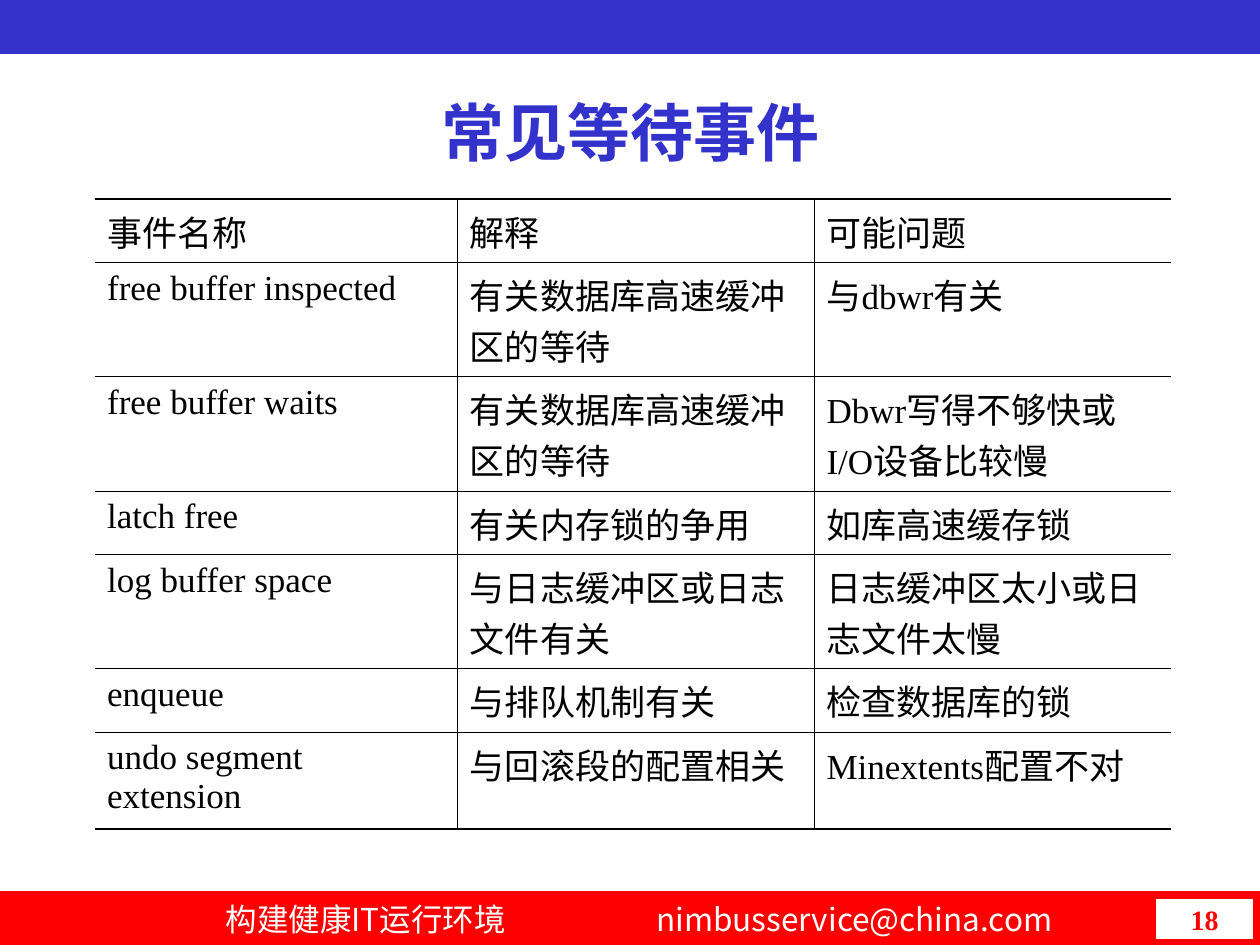
from lxml.etree import SubElement
from pptx import Presentation
from pptx.dml.color import RGBColor
from pptx.enum.shapes import MSO_SHAPE
from pptx.enum.text import MSO_ANCHOR, PP_ALIGN
from pptx.oxml.ns import qn
from pptx.util import Inches, Pt

BLUE = RGBColor(0x33, 0x33, 0xCC)
RED = RGBColor(0xFF, 0x00, 0x00)
WHITE = RGBColor(0xFF, 0xFF, 0xFF)
BLACK = RGBColor(0x00, 0x00, 0x00)
SERIF = "Times New Roman"
SANS = "Noto Sans CJK SC"

WIDTH, HEIGHT, BAND = 10, 7.5, 0.42
COLS = [2.88, 2.83, 2.83]
ONE_LINE, TWO_LINES = 0.44, 0.77
THIN, THICK = 0.45, 1.08
ROWS = [
    (ONE_LINE, ["事件名称", "解释", "可能问题"]),
    (TWO_LINES, ["free buffer inspected", "有关数据库高速缓冲区的等待", "与dbwr有关"]),
    (TWO_LINES, ["free buffer waits", "有关数据库高速缓冲区的等待", "Dbwr写得不够快或I/O设备比较慢"]),
    (ONE_LINE, ["latch free", "有关内存锁的争用", "如库高速缓存锁"]),
    (TWO_LINES, ["log buffer space", "与日志缓冲区或日志文件有关", "日志缓冲区太小或日志文件太慢"]),
    (ONE_LINE, ["enqueue", "与排队机制有关", "检查数据库的锁"]),
    (TWO_LINES, ["undo segment extension", "与回滚段的配置相关", "Minextents配置不对"]),
]


def add_run(p, text, size, color, font=SERIF, bold=False):
    r = p.add_run()
    r.text = text
    r.font.size = Pt(size)
    r.font.bold = bold
    r.font.color.rgb = color
    r.font.name = font
    SubElement(r.font._element, qn("a:ea"), typeface=SANS)


def add_box(s, left, top, width, height, fill, line):
    sp = s.shapes.add_shape(MSO_SHAPE.RECTANGLE, Inches(left), Inches(top), Inches(width), Inches(height))
    sp.shadow.inherit = False
    sp.fill.solid()
    sp.fill.fore_color.rgb = fill
    sp.line.color.rgb = line
    sp.line.width = Pt(0.75)
    sp.text_frame.vertical_anchor = MSO_ANCHOR.MIDDLE
    return sp


def add_footer(s):
    tf = add_box(s, 0, HEIGHT - BAND, WIDTH, BAND, RED, RED).text_frame
    tf.margin_left = Inches(1.79)
    p = tf.paragraphs[0]
    p.alignment = PP_ALIGN.LEFT
    tabs = SubElement(p._p.get_or_add_pPr(), qn("a:tabLst"))
    SubElement(tabs, qn("a:tab"), pos=str(Inches(3.42)), algn="l")
    add_run(p, "构建健康IT运行环境\tnimbusservice@china.com", 18, WHITE, SANS)


def add_page_number(s):
    tf = add_box(s, 9.17, 7.13, 0.78, 0.33, WHITE, RED).text_frame
    tf.word_wrap = False
    p = tf.paragraphs[0]
    p.alignment = PP_ALIGN.CENTER
    add_run(p, "18", 16, RED, bold=True)


def add_title(s):
    sp = s.shapes.title
    sp.left, sp.top, sp.width, sp.height = Inches(0.75), Inches(0.67), Inches(8.5), Inches(0.75)
    tf = sp.text_frame
    tf.vertical_anchor = MSO_ANCHOR.MIDDLE
    p = tf.paragraphs[0]
    p.alignment = PP_ALIGN.CENTER
    add_run(p, "常见等待事件", 36, BLUE, bold=True)


def set_border(cell, side, width):
    ln = SubElement(cell._tc.get_or_add_tcPr(), qn(f"a:ln{side}"), w=str(Pt(width)))
    if width:
        fill = SubElement(ln, qn("a:solidFill"))
        SubElement(fill, qn("a:srgbClr"), val=str(BLACK))
    else:
        SubElement(ln, qn("a:noFill"))


def add_events_table(s):
    heights = [height for height, _ in ROWS]
    frame = s.shapes.add_table(len(ROWS), len(COLS), Inches(0.75), Inches(1.58),
                               Inches(sum(COLS)), Inches(sum(heights)))
    table = frame.table
    table.first_row = table.horz_banding = False
    for column, width in zip(table.columns, COLS):
        column.width = Inches(width)
    last_row, last_col = len(ROWS) - 1, len(COLS) - 1
    for i, (height, texts) in enumerate(ROWS):
        table.rows[i].height = Inches(height)
        for j, text in enumerate(texts):
            cell = table.cell(i, j)
            set_border(cell, "L", THIN if j > 0 else 0)
            set_border(cell, "R", THIN if j < last_col else 0)
            set_border(cell, "T", THIN if i > 0 else THICK)
            set_border(cell, "B", THIN if i < last_row else THICK)
            cell.fill.background()
            add_run(cell.text_frame.paragraphs[0], text, 20, BLACK)


def main():
    prs = Presentation()
    prs.slide_width, prs.slide_height = Inches(WIDTH), Inches(HEIGHT)
    s = prs.slides.add_slide(prs.slide_layouts[5])
    add_box(s, 0, 0, WIDTH, BAND, BLUE, BLUE)
    add_footer(s)
    add_page_number(s)
    add_title(s)
    add_events_table(s)
    prs.save("out.pptx")


if __name__ == "__main__":
    main()
